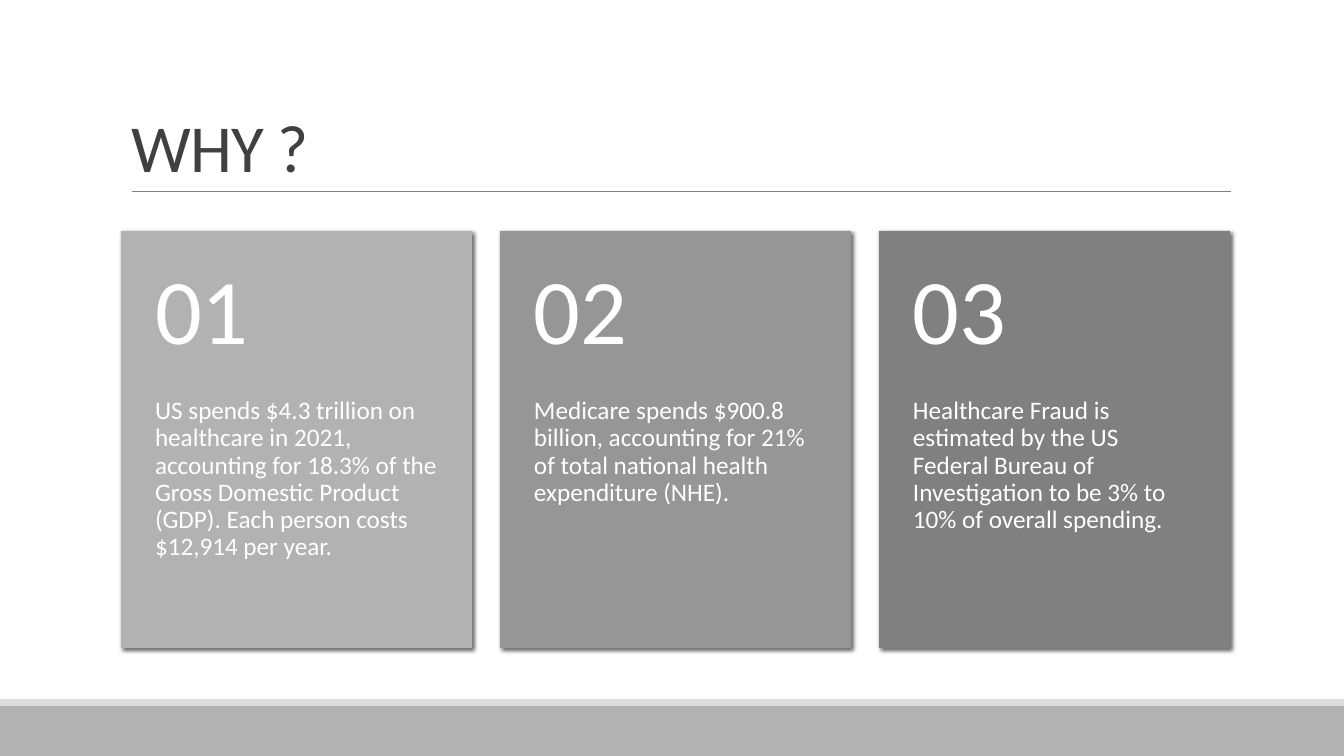
import lxml.etree
import pptx
import pptx.dml.color
import pptx.enum.shapes
import pptx.enum.text
import pptx.oxml.ns
import pptx.util

PX = 914400 / 100.8
FONT = "Calibri"
HUES = {
    "base": "B2B2B2", "strip": "DDDDDD", "rule": "808080",
    "title": "404040", "text": "FFFFFF", "shade": "000000",
    "one": "B2B2B2", "two": "969696", "three": "808080",
}
CARDS = [
    ("01", "one", "US spends $4.3 trillion on healthcare in 2021, accounting for "
     "18.3% of the Gross Domestic Product (GDP). Each person costs $12,914 per year."),
    ("02", "two", "Medicare spends $900.8 billion, accounting for 21% of total "
     "national health expenditure (NHE)."),
    ("03", "three", "Healthcare Fraud is estimated by the US Federal Bureau of "
     "Investigation to be 3% to 10% of overall spending."),
]


def px(*sizes):
    return [pptx.util.Emu(round(size * PX)) for size in sizes]


def hue(name):
    return pptx.dml.color.RGBColor.from_string(HUES[name])


def add_rect(shapes, box, name):
    rect = shapes.add_shape(pptx.enum.shapes.MSO_SHAPE.RECTANGLE, *px(*box))
    rect.shadow.inherit = False
    rect.fill.solid()
    rect.fill.fore_color.rgb = hue(name)
    rect.line.fill.background()
    return rect


def style(para, size, name, lead):
    para.line_spacing = lead
    para.font.name = FONT
    para.font.size = pptx.util.Pt(size)
    para.font.color.rgb = hue(name)


def cast_shade(shape):
    """Give the shape a soft shadow to the lower right."""
    tag = pptx.oxml.ns.qn
    effects = shape._element.spPr.find(tag("a:effectLst"))
    outer = lxml.etree.SubElement(
        effects, tag("a:outerShdw"), blurRad=str(pptx.util.Pt(3)),
        dist=str(pptx.util.Pt(2)), dir="2700000", rotWithShape="0")
    color = lxml.etree.SubElement(outer, tag("a:srgbClr"), val=HUES["shade"])
    lxml.etree.SubElement(color, tag("a:alpha"), val="60000")


def add_text(shapes, box, text, size, pads, anchor):
    frame = shapes.add_textbox(*px(*box)).text_frame
    frame.word_wrap = True
    frame.vertical_anchor = anchor
    frame.margin_left, frame.margin_top, frame.margin_right, frame.margin_bottom = px(*pads)
    frame.text = text
    style(frame.paragraphs[0], size, "text", 0.9)


def add_foot(slide, left, top, width, height):
    strip = 7
    add_rect(slide.shapes, (left, top + strip, width, height - strip), "base")
    add_rect(slide.shapes, (left, top, width, strip), "strip")


def add_head(slide, left, top, width, height):
    title = slide.shapes.title
    title.left, title.top, title.width, title.height = px(left, top, width, height)
    frame = title.text_frame
    frame.auto_size = pptx.enum.text.MSO_AUTO_SIZE.NONE
    frame.vertical_anchor = pptx.enum.text.MSO_ANCHOR.BOTTOM
    frame.text = "WHY ?"
    para = frame.paragraphs[0]
    para.alignment = pptx.enum.text.PP_ALIGN.LEFT
    style(para, 48, "title", 0.85)
    para.runs[0]._r.get_or_add_rPr().set("spc", "-50")

    # Rule below the title
    base = top + height
    rule = slide.shapes.add_connector(
        pptx.enum.shapes.MSO_CONNECTOR.STRAIGHT,
        *px(left + 11, base, left + width + 1, base))
    rule.line.color.rgb = hue("rule")
    rule.line.width = pptx.util.Pt(0.5)
    lxml.etree.SubElement(rule._element.spPr, pptx.oxml.ns.qn("a:effectLst"))


def add_card(slide, left, top, width, height, number, name, text):
    shapes = slide.shapes.add_group_shape().shapes
    cast_shade(add_rect(shapes, (left, top, width, height), name))
    anchor = pptx.enum.text.MSO_ANCHOR
    split = round(height * 0.4)
    add_text(shapes, (left, top + split, width, height - split), text, 18,
             (34, 0, 34, 36), anchor.TOP)
    add_text(shapes, (left, top, width, split), number, 66,
             (34, 18, 34, 18), anchor.MIDDLE)


def add_cards(slide, left, top, width, height):
    gap = 28
    wide = (width - gap * (len(CARDS) - 1)) / len(CARDS)
    for place, card in enumerate(CARDS):
        add_card(slide, left + place * (wide + gap), top, wide, height, *card)


def main():
    deck = pptx.Presentation()
    deck.slide_width, deck.slide_height = px(1344, 756)
    slide = deck.slides.add_slide(deck.slide_layouts[5])
    add_foot(slide, 0, 699, 1344, 57)
    add_head(slide, 121, 31, 1109, 160)
    add_cards(slide, 121, 231, 1109, 417)
    deck.save("out.pptx")


if __name__ == "__main__":
    main()
